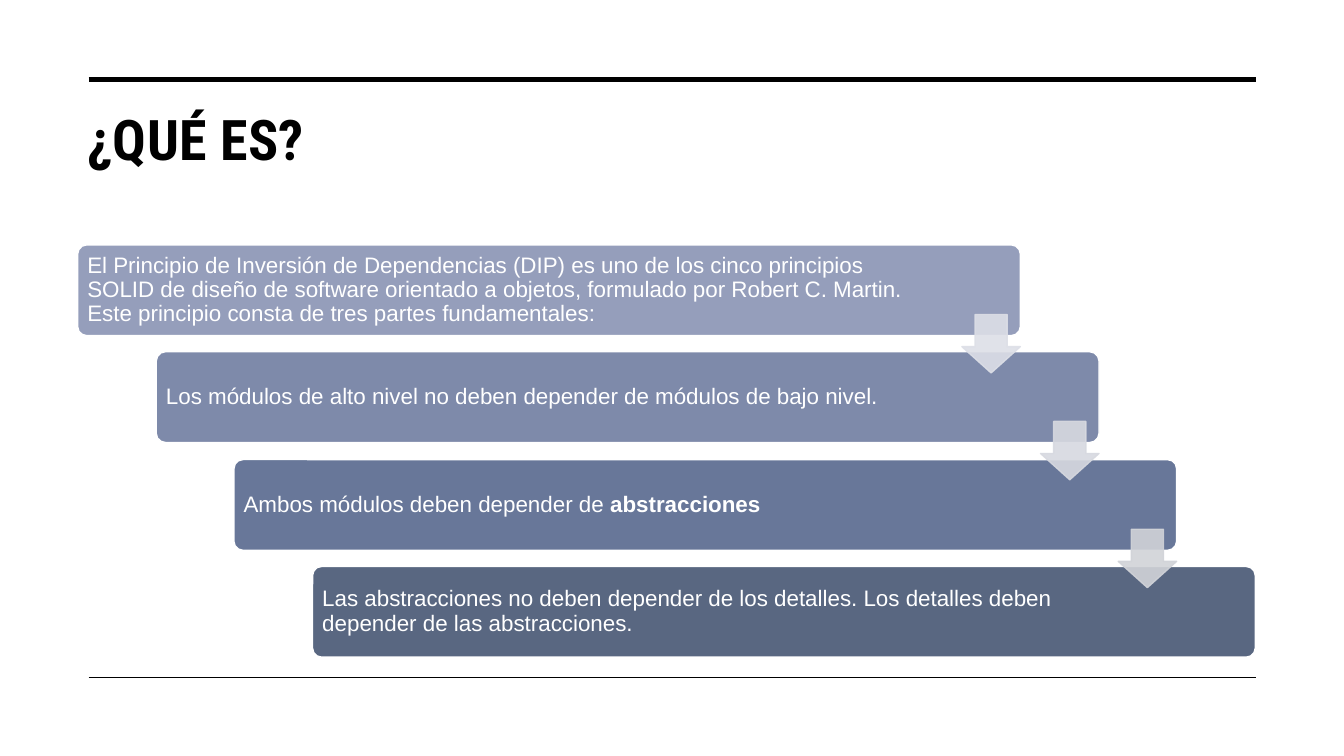
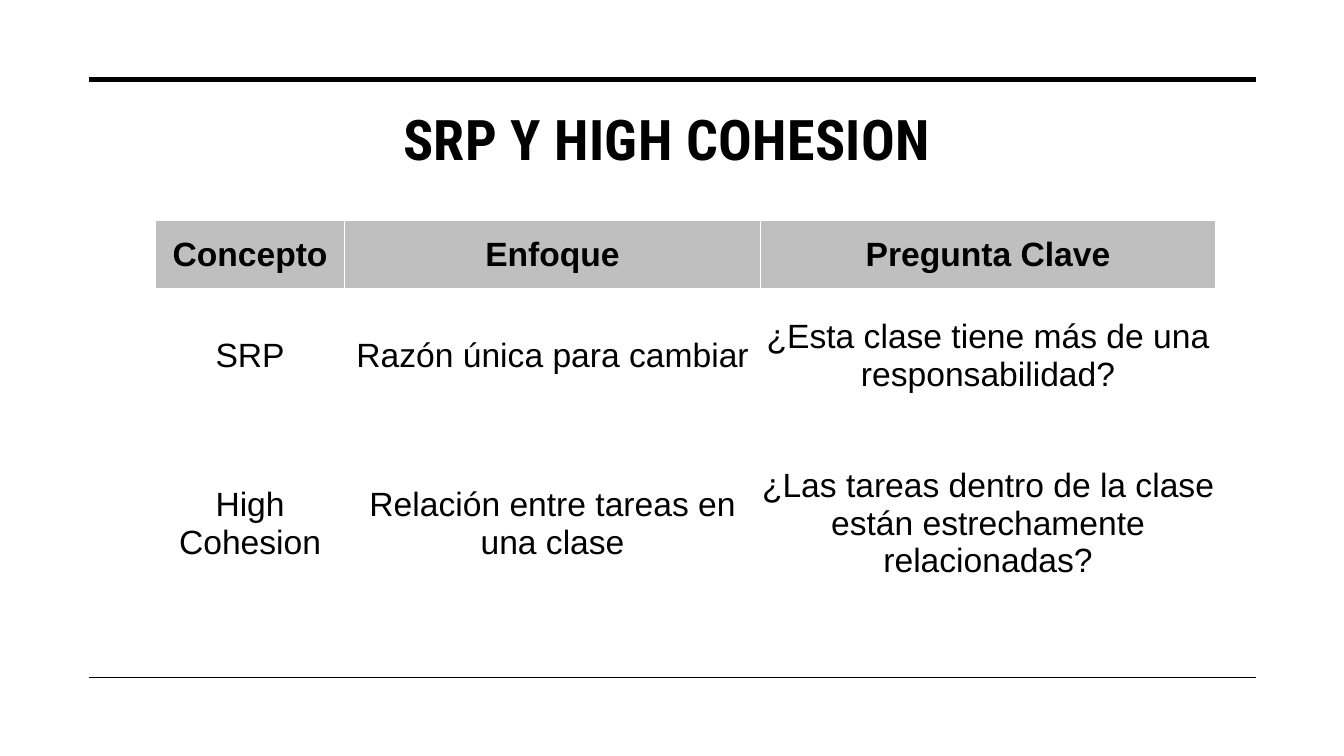
from collections import namedtuple

from lxml.etree import SubElement
from pptx import Presentation
from pptx.dml.color import RGBColor
from pptx.enum.shapes import MSO_CONNECTOR as Connector, MSO_SHAPE as Shape
from pptx.enum.text import MSO_ANCHOR as Anchor, PP_ALIGN as Align
from pptx.oxml.ns import qn
from pptx.util import Emu, Pt

EMU_PER_PX = 9144
COLORS = {
    "ink": "000000",
    "paper": "FFFFFF",
    "header": "BFBFBF",
    "bar_1": "959EBB",
    "bar_2": "7E8AAA",
    "bar_3": "687799",
    "bar_4": "596781",
    "arrow_1": "DDDFE7",
    "arrow_2": "D7D9E0",
    "arrow_3": "D1D3D8",
}
TITLE_FONT = "Roboto Condensed"
BODY_FONT = "Arial"

Box = namedtuple("Box", "left top width height")
SLIDE = Box(0, 0, 1333, 750)
TITLE = Box(77, 99, 1169, 126)
RULES = Box(88, 79, 1158, 593)
STAIRCASE = Box(77, 243, 1168, 409)
TABLE = Box(154, 219, 1052, 400)

STEPS = [
    ["El Principio de Inversión de Dependencias (DIP) es uno de los cinco principios "
     "SOLID de diseño de software orientado a objetos, formulado por Robert C. Martin. "
     "Este principio consta de tres partes fundamentales:"],
    ["Los módulos de alto nivel no deben depender de módulos de bajo nivel."],
    ["Ambos módulos deben depender de ", "abstracciones"],
    ["Las abstracciones no deben depender de los detalles. Los detalles deben "
     "depender de las abstracciones."],
]
CONCEPTS = [
    ["Concepto", "Enfoque", "Pregunta Clave"],
    ["SRP", "Razón única para cambiar", "¿Esta clase tiene más de una responsabilidad?"],
    ["High Cohesion", "Relación entre tareas en una clase",
     "¿Las tareas dentro de la clase están estrechamente relacionadas?"],
]


def px(length):
    """Turn px into EMU."""
    return Emu(length * EMU_PER_PX)


def place(box):
    """Return the four EMU lengths of a box."""
    return [px(length) for length in box]


def color(name):
    """Look up a colour by name."""
    return RGBColor.from_string(COLORS[name])


def style_run(run, font, size, color_name, bold=False):
    """Set the font of a run."""
    run.font.name = font
    run.font.size = Pt(size)
    run.font.bold = bold
    run.font.color.rgb = color(color_name)


def set_margins(target, left, top, right, bottom):
    """Set the text margins of a text frame or table cell."""
    target.margin_left, target.margin_top = px(left), px(top)
    target.margin_right, target.margin_bottom = px(right), px(bottom)


def add_rule(slide, box, top, weight):
    """Draw a horizontal black line across a box."""
    rule = slide.shapes.add_connector(
        Connector.STRAIGHT, px(box.left), px(top), px(box.left + box.width), px(top))
    rule.line.color.rgb = color("ink")
    rule.line.width = Pt(weight)
    SubElement(rule._element.spPr, qn("a:effectLst"))


def add_title(slide, box, text, align):
    """Write the slide title."""
    text_frame = slide.shapes.add_textbox(*place(box)).text_frame
    text_frame.word_wrap = True
    text_frame.text = text
    paragraph = text_frame.paragraphs[0]
    paragraph.alignment = align
    run = paragraph.runs[0]
    style_run(run, TITLE_FONT, 40, "ink", bold=True)
    run.font._element.set("spc", "30")


def add_framed_slide(presentation, title, align=Align.LEFT):
    """Add a blank slide with its two rules and title."""
    slide = presentation.slides.add_slide(presentation.slide_layouts[6])
    add_rule(slide, RULES, RULES.top, 3.5)
    add_rule(slide, RULES, RULES.top + RULES.height, 1)
    add_title(slide, TITLE, title, align)
    return slide


def add_filled_shape(slide, kind, box, fill, line, adjustments):
    """Add a flat preset shape."""
    shape = slide.shapes.add_shape(kind, *place(box))
    shape.shadow.inherit = False
    for index, value in enumerate(adjustments):
        shape.adjustments[index] = value
    shape.fill.solid()
    shape.fill.fore_color.rgb = color(fill)
    shape.line.color.rgb = color(line)
    shape.line.width = Pt(1)
    return shape


def add_step_bar(slide, box, texts, fill):
    """Add a rounded bar whose second text, if any, is bold."""
    bar = add_filled_shape(slide, Shape.ROUNDED_RECTANGLE, box, fill, "paper", [0.1])
    text_frame = bar.text_frame
    text_frame.word_wrap = True
    text_frame.vertical_anchor = Anchor.MIDDLE
    set_margins(text_frame, 7, 7, 110, 7)
    paragraph = text_frame.paragraphs[0]
    paragraph.alignment = Align.LEFT
    paragraph.line_spacing = 0.9
    for index, text in enumerate(texts):
        run = paragraph.add_run()
        run.text = text
        style_run(run, BODY_FONT, 16, "paper", bold=index > 0)


def add_step_arrow(slide, box, fill):
    """Add a slightly transparent down arrow."""
    arrow = add_filled_shape(slide, Shape.DOWN_ARROW, box, fill, fill, [0.55, 0.45])
    for color_element in arrow._element.spPr.iter(qn("a:srgbClr")):
        SubElement(color_element, qn("a:alpha"), val="90000")


def add_staircase(slide, box, steps):
    """Lay bars diagonally across a box, with arrows between them."""
    bar_width, bar_height, arrow_size = 935, 90, 58
    last = len(steps) - 1
    bars = [
        Box(box.left + round((box.width - bar_width) * index / last),
            box.top + round((box.height - bar_height) * index / last),
            bar_width, bar_height)
        for index in range(len(steps))
    ]
    for number, (bar, texts) in enumerate(zip(bars, steps), 1):
        add_step_bar(slide, bar, texts, f"bar_{number}")
    for number, bar in enumerate(bars[:-1], 1):
        arrow = Box(bar.left + bar_width - arrow_size, bar.top + 69, arrow_size, arrow_size)
        add_step_arrow(slide, arrow, f"arrow_{number}")


def add_cell_borders(cell):
    """Give a cell thin white borders, placed before its fill."""
    properties = cell._tc.get_or_add_tcPr()
    for index, side in enumerate(("lnL", "lnR", "lnT", "lnB")):
        border = SubElement(properties, qn(f"a:{side}"), w=str(Pt(1)))
        fill = SubElement(border, qn("a:solidFill"))
        SubElement(fill, qn("a:srgbClr"), val=COLORS["paper"])
        properties.insert(index, border)


def fill_cell(cell, text, is_header):
    """Write and style one table cell."""
    cell.text_frame.text = text
    cell.vertical_anchor = Anchor.MIDDLE
    set_margins(cell, 1, 1, 1, 0)
    cell.fill.solid()
    cell.fill.fore_color.rgb = color("header" if is_header else "paper")
    add_cell_borders(cell)
    paragraph = cell.text_frame.paragraphs[0]
    paragraph.alignment = Align.CENTER
    style_run(paragraph.runs[0], BODY_FONT, 24, "ink", bold=is_header)


def add_concept_table(slide, box, rows):
    """Add the concept table with a grey header row."""
    table = slide.shapes.add_table(len(rows), len(rows[0]), *place(box)).table
    table.first_row = table.horz_banding = False
    for column, width in zip(table.columns, (188, 412, 452)):
        column.width = px(width)
    for row, height in zip(table.rows, (67, 133, 200)):
        row.height = px(height)
    for row_index, texts in enumerate(rows):
        for column_index, text in enumerate(texts):
            fill_cell(table.cell(row_index, column_index), text, row_index == 0)


def main():
    """Build and save the presentation."""
    presentation = Presentation()
    presentation.slide_width, presentation.slide_height = px(SLIDE.width), px(SLIDE.height)
    add_staircase(add_framed_slide(presentation, "¿QUÉ ES?"), STAIRCASE, STEPS)
    comparison = add_framed_slide(presentation, "SRP Y HIGH COHESION", Align.CENTER)
    add_concept_table(comparison, TABLE, CONCEPTS)
    presentation.save("out.pptx")


if __name__ == "__main__":
    main()
